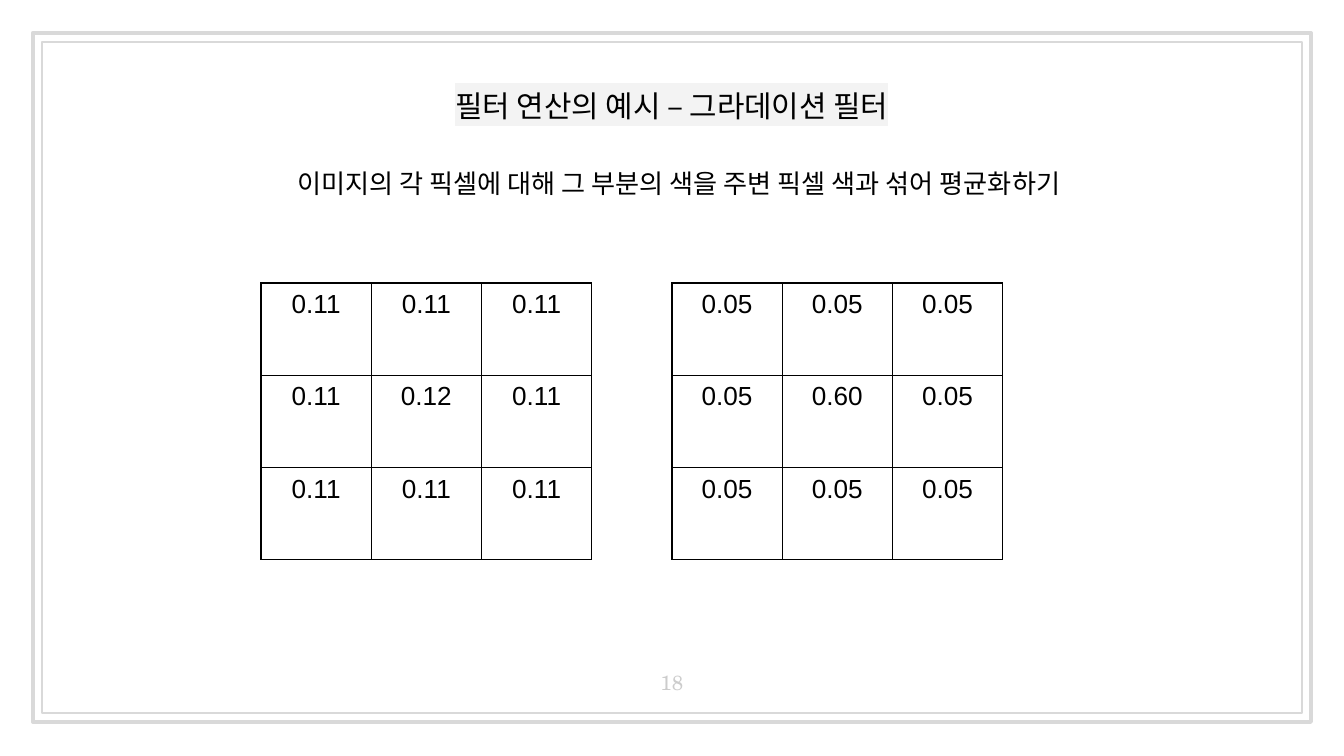
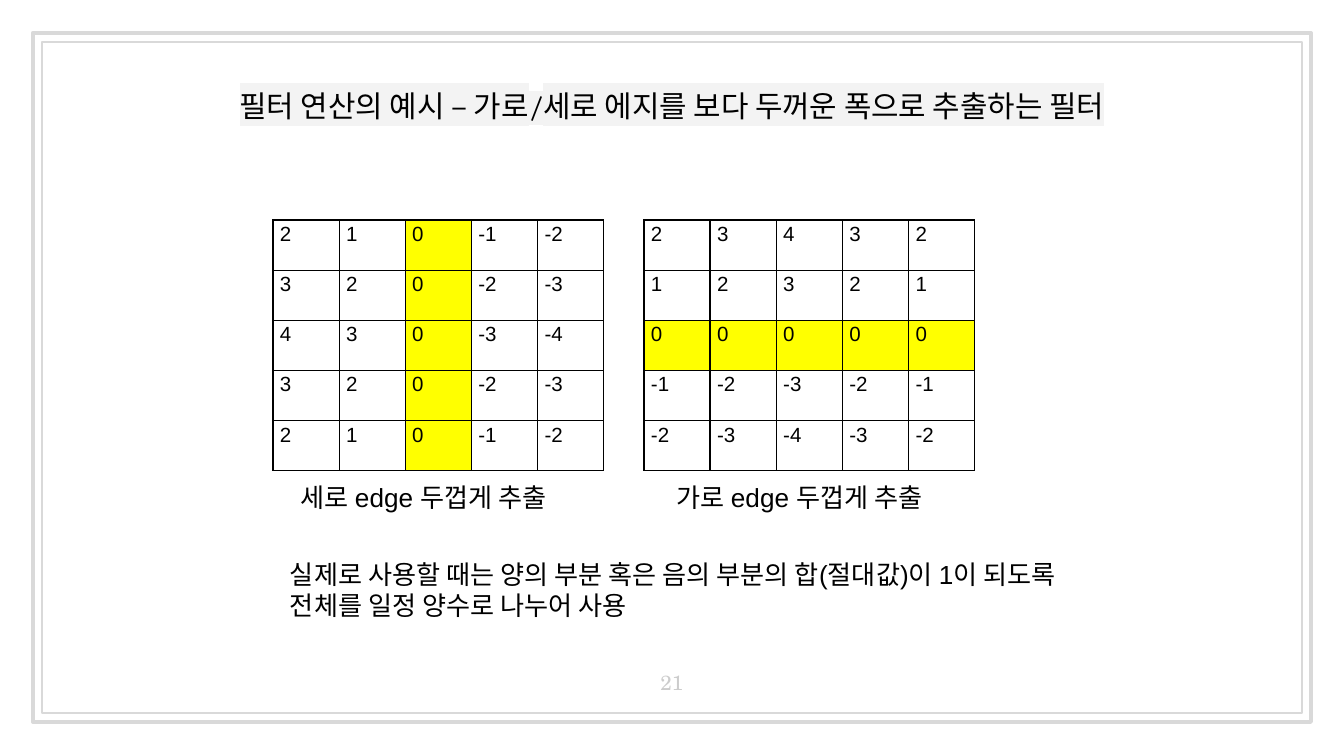
from dataclasses import dataclass

from pptx import Presentation
from pptx import util as u
from pptx.dml.color import RGBColor
from pptx.enum import shapes, text
from pptx.oxml import parse_xml
from pptx.oxml.ns import nsdecls, qn

PX = 9144000 // 1344  # EMU in one px


@dataclass(frozen=True)
class Theme:
    ink: str = "000000"
    frame: str = "D9D9D9"
    number: str = "CCCCCC"
    title_band: str = "F3F3F3"
    zero_band: str = "FFFF00"
    title_font: str = "Cambria"
    body_font: str = "TeX Gyre Schola"
    plain_font: str = "Arial"
    title_size: int = 16
    body_size: int = 14
    small_size: int = 11


THEME = Theme()
LEFT, CENTER = text.PP_ALIGN.LEFT, text.PP_ALIGN.CENTER
MIDDLE, BOTTOM = text.MSO_ANCHOR.MIDDLE, text.MSO_ANCHOR.BOTTOM


def write(frame, words, font, size, color=THEME.ink, align=LEFT, margins=(0, 0)):
    """Fill a text frame or table cell; margins are (side, top and bottom) in px."""
    frame.margin_left = frame.margin_right = margins[0] * PX
    frame.margin_top = frame.margin_bottom = margins[1] * PX
    body = getattr(frame, "text_frame", frame)
    body.text = words
    for paragraph in body.paragraphs:
        paragraph.alignment = align
        for run in paragraph.runs:
            run.font.name, run.font.size = font, u.Pt(size)
            run.font.color.rgb = RGBColor.from_string(color)
    return body


def draw_kernel(slide, box, rows, size, align, margins):
    """Draw a filter as a bordered table, with cells holding 0 highlighted."""
    left, top, width, height = (n * PX for n in box)
    table = slide.shapes.add_table(len(rows), len(rows[0]), left, top, width, height).table
    table.first_row = table.horz_banding = False
    for column in table.columns:
        column.width = width // len(rows[0])
    for row, weights in zip(table.rows, rows):
        row.height = height // len(rows)
        for cell, weight in zip(row.cells, weights):
            write(cell, weight, THEME.plain_font, size, align=align, margins=margins)
            for side in ("lnL", "lnR", "lnT", "lnB"):
                cell._tc.get_or_add_tcPr().append(parse_xml(
                    f'<a:{side} {nsdecls("a")} w="9525"><a:solidFill>'
                    f'<a:srgbClr val="{THEME.ink}"/></a:solidFill></a:{side}>'))
            if weight == "0":
                cell.fill.solid()
                cell.fill.fore_color.rgb = RGBColor.from_string(THEME.zero_band)
            else:
                cell.fill.background()


prs = Presentation()
prs.slide_width, prs.slide_height = u.Inches(10), u.Inches(5.625)

# Shared by both slides: double frame, title, page number
pages = [
    ("필터 연산의 예시 – 그라데이션 필터", "18"),
    ("필터 연산의 예시 – 가로/세로 에지를 보다 두꺼운 폭으로 추출하는 필터", "21"),
]
slides = []
for title, number in pages:
    slide = prs.slides.add_slide(prs.slide_layouts[6])
    slides.append(slide)
    for box, weight in (((33, 33, 1278, 689), 2.25), ((42, 42, 1260, 671), 0.75)):
        border = slide.shapes.add_shape(shapes.MSO_SHAPE.RECTANGLE, *(n * PX for n in box))
        border.shadow.inherit = False
        border.fill.background()
        border.line.color.rgb = RGBColor.from_string(THEME.frame)
        border.line.width = u.Pt(weight)

    heading = slide.shapes.add_textbox(*(n * PX for n in (57, 50, 1230, 111))).text_frame
    heading.word_wrap, heading.vertical_anchor = True, MIDDLE
    write(heading, title, THEME.title_font, THEME.title_size, align=CENTER, margins=(13, 13))
    heading_font = heading.paragraphs[0].runs[0]._r.rPr
    heading_font.find(qn("a:latin")).addprevious(parse_xml(
        f'<a:highlight {nsdecls("a")}><a:srgbClr val="{THEME.title_band}"/></a:highlight>'))

    page_number = slide.shapes.add_textbox(*(n * PX for n in (632, 649, 80, 58))).text_frame
    page_number.word_wrap, page_number.vertical_anchor = True, BOTTOM
    write(page_number, number, THEME.body_font, THEME.small_size, THEME.number, CENTER, (13, 13))

# Slide 1: averaging filters
averaging, edges = slides
summary = averaging.shapes.add_textbox(*(n * PX for n in (184, 149, 976, 68))).text_frame
summary.word_wrap, summary.vertical_anchor = True, MIDDLE
write(summary, "이미지의 각 픽셀에 대해 그 부분의 색을 주변 픽셀 색과 섞어 평균화하기",
      THEME.body_font, THEME.body_size, align=CENTER, margins=(13, 13))
summary.paragraphs[0].space_before = u.Pt(6)
summary.paragraphs[0]._p.get_or_add_pPr().set("marL", str(15 * PX))

for left, around, middle in ((261, "0.11", "0.12"), (672, "0.05", "0.60")):
    outer_row = [around] * 3
    draw_kernel(averaging, (left, 283, 331, 277),
                [outer_row, [around, middle, around], outer_row],
                THEME.body_size, CENTER, (13, 7))

# Slide 2: the horizontal edge filter is the vertical one turned a quarter
vertical = [row.split() for row in (
    "2 1 0 -1 -2", "3 2 0 -2 -3", "4 3 0 -3 -4", "3 2 0 -2 -3", "2 1 0 -1 -2")]
horizontal = list(zip(*vertical))
for left, kernel in ((273, vertical), (644, horizontal)):
    draw_kernel(edges, (left, 220, 331, 251), kernel, THEME.small_size, LEFT, (7, 3))

remarks = [
    ((301, 481, 265, 32), "세로 edge 두껍게 추출"),
    ((677, 481, 265, 32), "가로 edge 두껍게 추출"),
    ((290, 558, 844, 63), "실제로 사용할 때는 양의 부분 혹은 음의 부분의 합(절대값)이 1이 되도록\n"
                          "전체를 일정 양수로 나누어 사용"),
]
for box, words in remarks:
    remark = edges.shapes.add_textbox(*(n * PX for n in box)).text_frame
    remark.word_wrap, remark.auto_size = False, text.MSO_AUTO_SIZE.SHAPE_TO_FIT_TEXT
    write(remark, words, THEME.plain_font, THEME.body_size)

prs.save("out.pptx")
